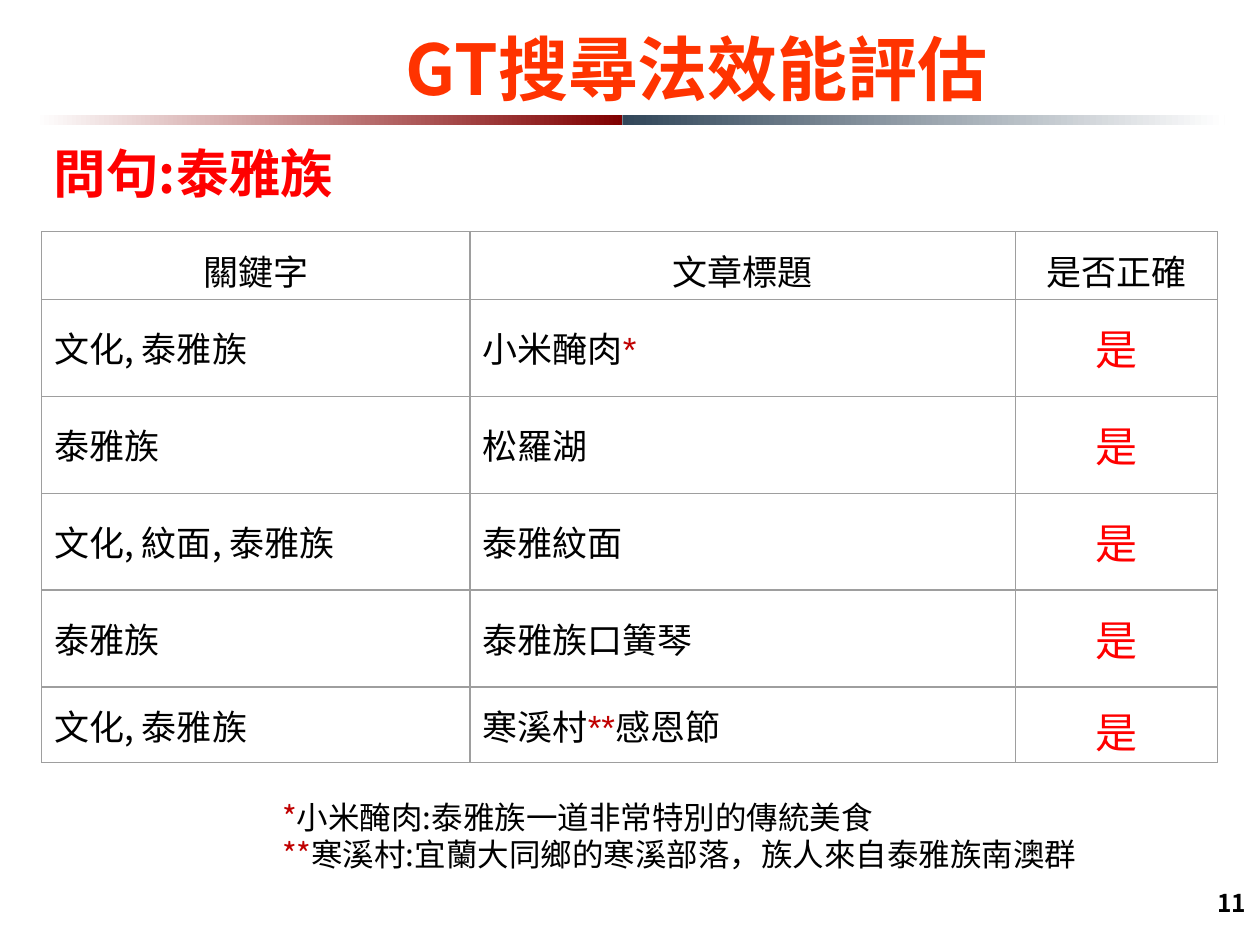
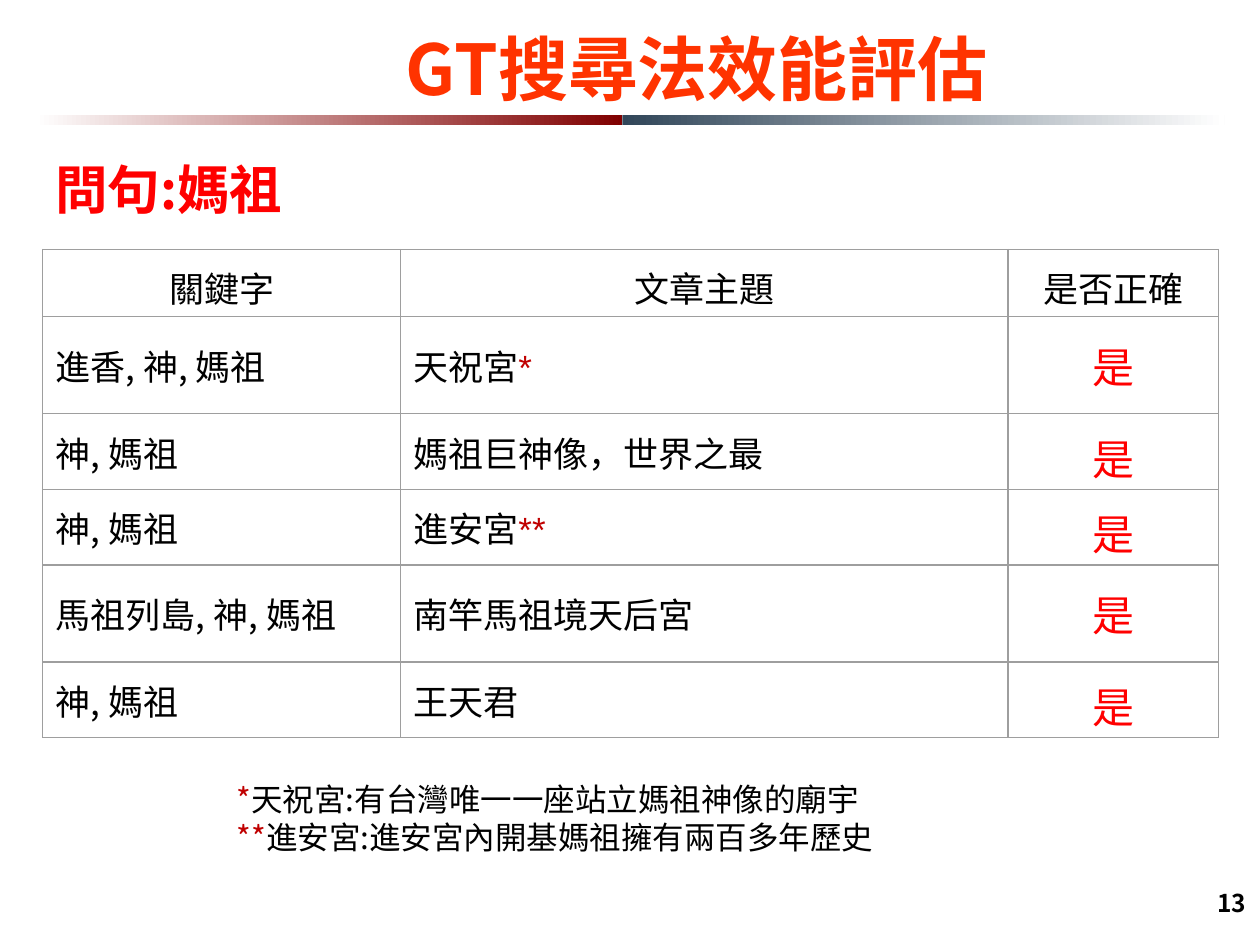
from itertools import groupby

from lxml import etree
from pptx import Presentation
from pptx.dml.color import RGBColor
from pptx.enum.shapes import MSO_SHAPE
from pptx.enum.text import MSO_ANCHOR, PP_ALIGN
from pptx.oxml.ns import qn
from pptx.util import Inches, Pt

RECT = MSO_SHAPE.RECTANGLE
TOP, MIDDLE = MSO_ANCHOR.TOP, MSO_ANCHOR.MIDDLE
LEFT, CENTER, RIGHT = PP_ALIGN.LEFT, PP_ALIGN.CENTER, PP_ALIGN.RIGHT

# Content
TITLE = "GT搜尋法效能評估"
YES = "是"
SLIDES = [
    {
        "number": "11",
        "query": "問句:泰雅族",
        "query_at": (0.33, 1.02),
        "header": ("關鍵字", "文章標題", "是否正確"),
        "rows": [
            ("文化, 泰雅族", "小米醃肉*"),
            ("泰雅族", "松羅湖"),
            ("文化, 紋面, 泰雅族", "泰雅紋面"),
            ("泰雅族", "泰雅族口簧琴"),
            ("文化, 泰雅族", "寒溪村**感恩節"),
        ],
        "table_at": (0.33, 1.84),
        "widths": (3.4, 4.33, 1.6),
        "heights": (0.47, 0.77, 0.77, 0.77, 0.77, 0.48),
        "notes": ["*小米醃肉:泰雅族一道非常特別的傳統美食",
                  "**寒溪村:宜蘭大同鄉的寒溪部落，族人來自泰雅族南澳群"],
        "notes_box": (2.14, 6.23, 6.77, 0.81),
    },
    {
        "number": "13",
        "query": "問句:媽祖",
        "query_at": (0.34, 1.15),
        "header": ("關鍵字", "文章主題", "是否正確"),
        "rows": [
            ("進香, 神, 媽祖", "天祝宮*"),
            ("神, 媽祖", "媽祖巨神像，世界之最"),
            ("神, 媽祖", "進安宮**"),
            ("馬祖列島, 神, 媽祖", "南竿馬祖境天后宮"),
            ("神, 媽祖", "王天君"),
        ],
        "table_at": (0.34, 1.98),
        "widths": (2.84, 4.82, 1.67),
        "heights": (0.47, 0.77, 0.56, 0.5, 0.77, 0.48),
        "notes": ["*天祝宮:有台灣唯一一座站立媽祖神像的廟宇",
                  "**進安宮:進安宮內開基媽祖擁有兩百多年歷史"],
        "notes_box": (1.78, 6.09, 6.43, 0.81),
    },
]

# Shared style
FONT, STAR_FONT = "Noto Sans CJK SC", "Arial"
COLORS = {"text": "000000", "title": "FF3300", "red": "FF0000", "star": "C00000",
          "border": "9E9E9E", "white": "FFFFFF", "maroon": "800000", "slate": "314659"}
BANDS = [(0.28, 4.66, "white", "maroon"), (4.94, 4.78, "slate", "white")]
BAND_TOP, BAND_HEIGHT = 0.91, 0.08


def rgb(name):
    return RGBColor.from_string(COLORS[name])


def add_run(p, text, size, color, bold=False, font=FONT):
    r = p.add_run()
    r.text = text
    r.font.size, r.font.bold, r.font.name = Pt(size), bold, font
    r.font.color.rgb = rgb(color)
    ea = etree.Element(qn("a:ea"), typeface=font)
    r.font._element.find(qn("a:latin")).addnext(ea)


def add_starred(p, text, size, star_font=FONT):
    """Add the text with its asterisks in their own colour."""
    for is_star, chars in groupby(text, lambda c: c == "*"):
        part = "".join(chars)
        if is_star:
            add_run(p, part, size, "star", font=star_font)
        else:
            add_run(p, part, size, "text")


def add_box(s, box, margin_y=0.1):
    tf = s.shapes.add_textbox(*map(Inches, box)).text_frame
    tf.word_wrap = True
    tf.vertical_anchor = TOP
    tf.margin_left = tf.margin_right = Inches(0.1)
    tf.margin_top = tf.margin_bottom = Inches(margin_y)
    return tf


def add_line(s, box, text, size, color, align=LEFT, margin_y=0.1):
    p = add_box(s, box, margin_y).paragraphs[0]
    p.alignment = align
    add_run(p, text, size, color, bold=True)


def add_frame(s, number):
    """Title, gradient bands and page number."""
    for left, width, start, end in BANDS:
        sp = s.shapes.add_shape(RECT, Inches(left), Inches(BAND_TOP),
                                Inches(width), Inches(BAND_HEIGHT))
        sp.shadow.inherit = False
        sp.line.fill.background()
        sp.fill.gradient()
        sp.fill.gradient_angle = 0
        for stop, position, color in zip(sp.fill.gradient_stops, (0, 1), (start, end)):
            stop.position = position
            stop.color.rgb = rgb(color)
    add_line(s, (7.91, 7, 2.08, 0.41), number, 14, "text", RIGHT, 0.05)
    add_line(s, (1.37, 0.1, 8.32, 0.79), TITLE, 40, "title", CENTER)


def set_borders(cell):
    tcPr = cell._tc.get_or_add_tcPr()
    for i, side in enumerate(("lnL", "lnR", "lnT", "lnB")):
        ln = etree.Element(qn(f"a:{side}"), w=str(Pt(0.75)))
        fill = etree.SubElement(ln, qn("a:solidFill"))
        etree.SubElement(fill, qn("a:srgbClr"), val=COLORS["border"])
        tcPr.insert(i, ln)


def add_results(s, data):
    rows = [data["header"]] + [(*row, YES) for row in data["rows"]]
    widths, heights = data["widths"], data["heights"]
    size = (sum(widths), sum(heights))
    table = s.shapes.add_table(len(rows), len(widths),
                               *map(Inches, data["table_at"] + size)).table
    table.first_row = table.horz_banding = False
    for column, width in zip(table.columns, widths):
        column.width = Inches(width)
    for i, (row, height) in enumerate(zip(rows, heights)):
        table.rows[i].height = Inches(height)
        for j, text in enumerate(row):
            cell = table.cell(i, j)
            cell.fill.background()
            set_borders(cell)
            cell.vertical_anchor = MIDDLE
            cell.margin_left = cell.margin_right = Inches(0.1)
            cell.margin_top = cell.margin_bottom = Inches(0.1)
            p = cell.text_frame.paragraphs[0]
            p.alignment = CENTER if i == 0 or j == 2 else LEFT
            if text == YES:
                add_run(p, text, 24, "red")
            else:
                add_starred(p, text, 20, STAR_FONT)


def add_notes(s, data):
    tf = add_box(s, data["notes_box"])
    for i, note in enumerate(data["notes"]):
        p = tf.add_paragraph() if i else tf.paragraphs[0]
        add_starred(p, note, 18)


def main():
    prs = Presentation()
    prs.slide_width, prs.slide_height = Inches(10), Inches(7.5)
    for data in SLIDES:
        s = prs.slides.add_slide(prs.slide_layouts[6])
        add_frame(s, data["number"])
        add_line(s, data["query_at"] + (8.36, 0.71), data["query"], 30, "red")
        add_results(s, data)
        add_notes(s, data)
    prs.save("out.pptx")


if __name__ == "__main__":
    main()
